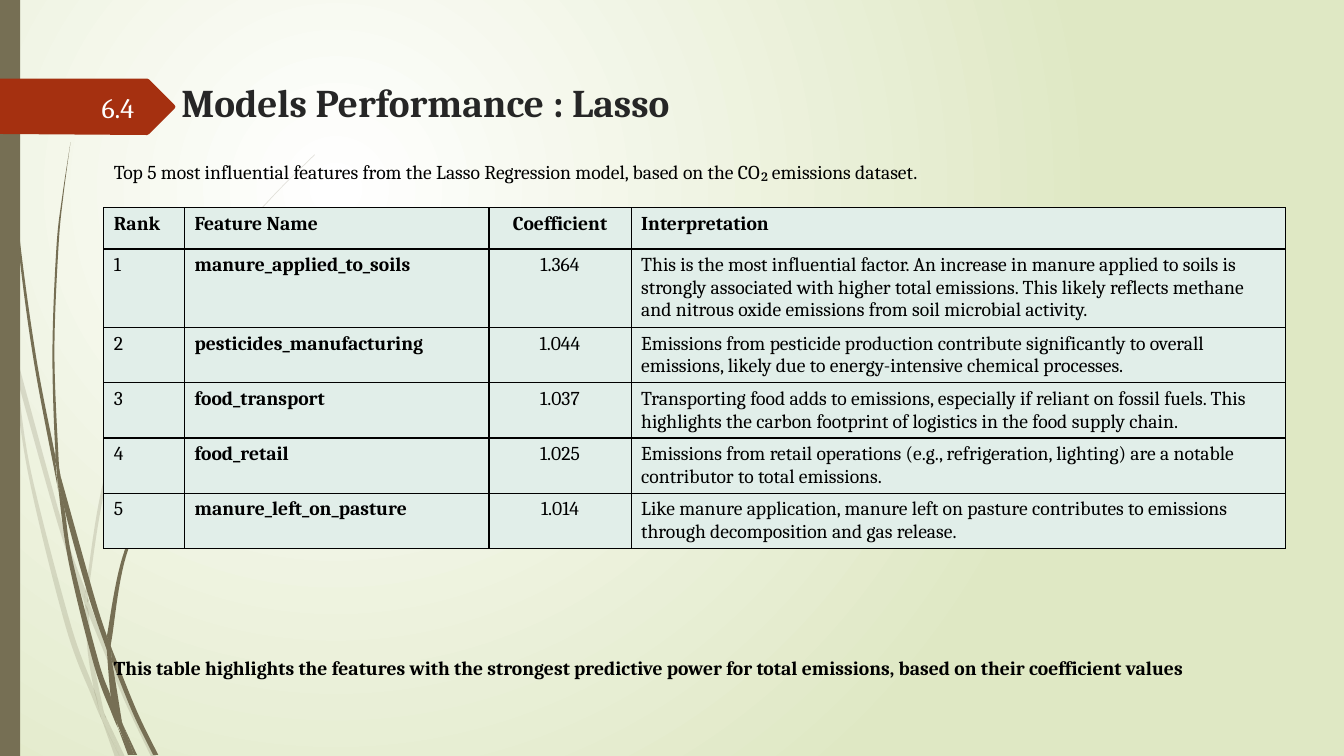
from dataclasses import dataclass
from lxml.etree import SubElement
from pptx import Presentation
from pptx.dml.color import RGBColor
from pptx.enum.shapes import MSO_SHAPE
from pptx.enum.text import MSO_ANCHOR, PP_ALIGN
from pptx.oxml import parse_xml
from pptx.oxml.ns import nsdecls, qn
from pptx.util import Inches, Pt


@dataclass(frozen=True)
class Theme:
    font: str = "Cambria"
    body: int = 14
    number: int = 20
    title: int = 28
    ink: str = "000000"
    heading: str = "262626"
    light: str = "FEFFFF"
    stem: str = "766F54"
    badge: str = "A53010"
    cell: str = "E1EEE9"
    glow: str = "FFFFFF"
    backdrop: str = "DFE8C4"


THEME = Theme()

TITLE = "Models Performance : Lasso"
NUMBER = "6.4"
INTRO = "Top 5 most influential features from the Lasso Regression model, based on the CO₂ emissions dataset."
SUMMARY = "This table highlights the features with the strongest predictive power for total emissions, based on their coefficient values"
HEADER = ("Rank", "Feature Name", "Coefficient", "Interpretation")
FEATURES = [
    ("manure_applied_to_soils", "1.364", "This is the most influential factor. An increase in manure applied to soils is strongly associated with higher total emissions. This likely reflects methane and nitrous oxide emissions from soil microbial activity."),
    ("pesticides_manufacturing", "1.044", "Emissions from pesticide production contribute significantly to overall emissions, likely due to energy-intensive chemical processes."),
    ("food_transport", "1.037", "Transporting food adds to emissions, especially if reliant on fossil fuels. This highlights the carbon footprint of logistics in the food supply chain."),
    ("food_retail", "1.025", "Emissions from retail operations (e.g., refrigeration, lighting) are a notable contributor to total emissions."),
    ("manure_left_on_pasture", "1.014", "Like manure application, manure left on pasture contributes to emissions through decomposition and gas release."),
]
COLUMN_WIDTHS = (0.8, 3.02, 1.41, 6.49)
ROW_HEIGHT = 0.41
CELL_BOTTOM = 0.03

FAINT_BLADES = [
    [[(0.11, 3.5), (0.09, 3.22), (0, 2.82)], [(0, 2.99), (0.1, 3.44), (0.11, 3.5)]],
    [[(0.14, 3.45), (0.62, 5.2), (0.85, 5.86)], [(0.84, 5.99), (0.58, 5.22), (0.17, 3.76)]],
    [[(0.88, 5.96), (0.92, 6.07), (1.27, 6.92), (1.55, 7.51)], [(1.5, 7.51), (1.23, 6.94), (0.88, 6.1)]],
    [[(1.05, 7.11), (1.24, 7.51)], [(1.19, 7.51), (1.05, 7.11)]],
    [[(0.11, 3.5), (0.17, 3.76), (0.31, 4.69), (0.7, 6.19), (0.93, 6.83), (0.99, 7.07), (1.01, 7.14)],
     [(1.01, 7.14), (0.92, 6.93), (0.65, 6.21), (0.28, 4.7), (0.11, 3.5)]],
    [[(0.84, 5.99), (0.88, 6.08), (0.91, 6.46), (1.03, 7.06), (1.05, 7.11)],
     [(1.05, 7.11), (0.96, 6.92), (0.93, 6.83), (0.87, 6.46), (0.84, 5.99)]],
    [[(0.88, 5.96), (0.88, 5.84), (1.1, 4.62), (1.6, 3.49), (2.29, 2.45), (2.68, 1.98), (3.12, 1.54)],
     [(3.12, 1.53), (2.68, 1.97), (2.28, 2.44), (1.58, 3.48), (1.07, 4.61), (0.85, 5.84), (0.85, 5.86)]],
    [[(1.01, 7.14), (1.14, 7.51)], [(1.19, 7.51), (1.01, 7.14)]],
    [[(0.88, 6.1), (0.88, 5.96)], [(0.85, 5.86), (0.84, 5.99)]],
    [[(0.93, 6.83), (0.99, 7.07), (1.01, 7.14), (1.19, 7.51)], [(1.05, 7.11), (0.96, 6.92), (0.93, 6.83)]],
]
DARK_BLADES = [
    [[(0.03, 0), (0.04, 0.48), (0.07, 1.1), (0.17, 2.33), (0.33, 3.55), (0.56, 4.77), (0.57, 4.81)],
     [(0.55, 4.57), (0.55, 4.53), (0.36, 3.55), (0.19, 2.32), (0.08, 1.09), (0.05, 0.48), (0.04, 0)]],
    [[(0.6, 4.72), (0.93, 5.9), (1.06, 6.31)], [(1.06, 6.45), (0.88, 5.92), (0.64, 5.05), (0.6, 4.72)]],
    [[(1.1, 6.41), (1.13, 6.49), (1.36, 7.06), (1.57, 7.49)], [(1.52, 7.49), (1.32, 7.08), (1.11, 6.56)]],
    [[(0.57, 4.77), (0.64, 5.05), (0.72, 5.56), (0.98, 6.57), (1.1, 6.91), (1.16, 7.17), (1.17, 7.22)],
     [(1.17, 7.22), (1.11, 7.08), (0.93, 6.59), (0.68, 5.57), (0.57, 4.77)]],
    [[(0.6, 4.72), (0.58, 4.53), (0.54, 3.49), (0.58, 2.45), (0.63, 1.93), (0.7, 1.41)],
     [(0.7, 1.41), (0.62, 1.93), (0.56, 2.45), (0.52, 3.49), (0.55, 4.49), (0.6, 4.72)]],
    [[(1.22, 7.19), (1.36, 7.49)], [(1.33, 7.49), (1.22, 7.19)]],
    [[(0.55, 4.49), (0.6, 4.72), (0.64, 5.05)], [(0.57, 4.77), (0.55, 4.53)]],
    [[(1.1, 6.41), (1.11, 6.33), (1.25, 5.52), (1.58, 4.76), (2.05, 4.06), (2.31, 3.74), (2.61, 3.44)],
     [(2.6, 3.44), (2.31, 3.73), (2.04, 4.05), (1.56, 4.74), (1.22, 5.51), (1.06, 6.31)]],
    [[(1.17, 7.22), (1.27, 7.49)], [(1.31, 7.49), (1.17, 7.22)]],
    [[(1.06, 6.45), (1.11, 6.56), (1.21, 7.16), (1.22, 7.19)], [(1.16, 7.06), (1.1, 6.91), (1.06, 6.45)]],
    [[(1.06, 6.31), (1.1, 6.41), (1.11, 6.56)], [(1.06, 6.45), (1.06, 6.33)]],
    [[(1.1, 6.91), (1.16, 7.17), (1.3, 7.49)], [(1.33, 7.49), (1.22, 7.19), (1.1, 6.91)]],
]
BADGE = [(0, 0.78), (1.46, 0.78), (1.48, 0.79), (1.73, 1.04), (1.74, 1.06),
         (1.73, 1.08), (1.48, 1.33), (1.46, 1.34), (0, 1.33)]


def color(value):
    return RGBColor.from_string(value)


def shift(point, start, end, share):
    return tuple(p + (e - s) * share for p, s, e in zip(point, start, end))


def curve_points(edges):
    points = [edges[0][0]]
    for edge in edges:
        if points[-1] != edge[0]:
            points += [points[-1], edge[0], edge[0]]
        padded = [edge[0], *edge, edge[-1]]
        for before, start, end, after in zip(padded, padded[1:], padded[2:], padded[3:]):
            points += [shift(start, before, end, 1 / 6), shift(end, after, start, 1 / 6), end]
    return points


def bend(shape):
    lines = list(shape.element.spPr.iter(qn("a:lnTo")))
    for first, second, third in zip(lines[::3], lines[1::3], lines[2::3]):
        first.tag = qn("a:cubicBezTo")
        for line in (second, third):
            first.append(line[0])
            line.getparent().remove(line)


def paint(shape, fill, opacity=100):
    shape.shadow.inherit = False
    shape.fill.solid()
    shape.fill.fore_color.rgb = color(fill)
    shape.line.fill.background()
    if opacity < 100:
        tint = next(shape.element.spPr.iter(qn("a:srgbClr")))
        SubElement(tint, qn("a:alpha"), val=str(opacity * 1000))


def add_outline(page, points, fill, opacity=100):
    corners = [(Inches(x), Inches(y)) for x, y in points]
    builder = page.shapes.build_freeform(*corners[0], scale=1.0)
    builder.add_line_segments(corners[1:], close=True)
    shape = builder.convert_to_shape()
    paint(shape, fill, opacity)
    return shape


def write(frame, text, size=THEME.body, ink=THEME.ink, bold=False, align=PP_ALIGN.LEFT):
    para = frame.paragraphs[0]
    para.text = text
    para.alignment = align
    para.font.name = THEME.font
    para.font.size = Pt(size)
    para.font.bold = bold
    para.font.color.rgb = color(ink)
    return para


def add_text(page, place, text, anchor=MSO_ANCHOR.TOP, **style):
    frame = page.shapes.add_textbox(*map(Inches, place)).text_frame
    frame.word_wrap = True
    frame.vertical_anchor = anchor
    return write(frame, text, **style)


def add_backdrop(page):
    page.background.fill.gradient()
    gradient = next(page.element.iter(qn("a:gradFill")))
    gradient.getparent().replace(gradient, parse_xml(
        f'<a:gradFill {nsdecls("a")} rotWithShape="1"><a:gsLst>'
        f'<a:gs pos="0"><a:srgbClr val="{THEME.glow}"/></a:gs>'
        f'<a:gs pos="100000"><a:srgbClr val="{THEME.backdrop}"/></a:gs></a:gsLst>'
        '<a:path path="circle"><a:fillToRect l="50000" t="50000" r="100000" b="100000"/></a:path>'
        '</a:gradFill>'))


def add_borders(cell):
    properties = cell._tc.get_or_add_tcPr()
    for side in ("lnL", "lnR", "lnT", "lnB"):
        line = SubElement(properties, qn(f"a:{side}"), w=str(Pt(1)))
        SubElement(SubElement(line, qn("a:solidFill")), qn("a:srgbClr"), val=THEME.ink)


def add_feature_table(page):
    rows = [HEADER] + [(str(rank), *feature) for rank, feature in enumerate(FEATURES, 1)]
    table = page.shapes.add_table(
        len(rows), len(HEADER), Inches(1.03), Inches(2.06),
        Inches(sum(COLUMN_WIDTHS)), Inches(ROW_HEIGHT * len(rows))).table
    table.horz_banding = False
    for column, width in zip(table.columns, COLUMN_WIDTHS):
        column.width = Inches(width)
    for row_index, row in enumerate(rows):
        table.rows[row_index].height = Inches(ROW_HEIGHT)
        for column_index, text in enumerate(row):
            cell = table.cell(row_index, column_index)
            add_borders(cell)
            cell.margin_bottom = Inches(CELL_BOTTOM)
            cell.fill.solid()
            cell.fill.fore_color.rgb = color(THEME.cell)
            write(cell.text_frame, text, bold=row_index == 0 or column_index == 1,
                  align=PP_ALIGN.CENTER if column_index == 2 else PP_ALIGN.LEFT)


def main():
    deck = Presentation()
    deck.slide_width, deck.slide_height = Inches(13.33), Inches(7.5)
    page = deck.slides.add_slide(deck.slide_layouts[6])
    add_backdrop(page)
    for blades, opacity in ((FAINT_BLADES, 20), (DARK_BLADES, 100)):
        for edges in blades:
            bend(add_outline(page, curve_points(edges), THEME.stem, opacity))
    paint(page.shapes.add_shape(MSO_SHAPE.RECTANGLE, 0, 0, Inches(0.2), deck.slide_height), THEME.stem)
    add_outline(page, BADGE, THEME.badge)
    intro = add_text(page, (1.03, 1.49, 11.65, 0.64), INTRO)
    intro.line_spacing = 1.2
    intro.space_before = Pt(10)
    add_feature_table(page)
    add_text(page, (1.03, 6.46, 11.65, 0.57), SUMMARY, bold=True)
    add_text(page, (0.58, 0.86, 0.85, 0.4), NUMBER, MSO_ANCHOR.MIDDLE,
             size=THEME.number, ink=THEME.light, align=PP_ALIGN.RIGHT)
    add_text(page, (1.7, 0.73, 6.97, 0.71), TITLE, size=THEME.title, ink=THEME.heading, bold=True)
    deck.save("out.pptx")


if __name__ == "__main__":
    main()
